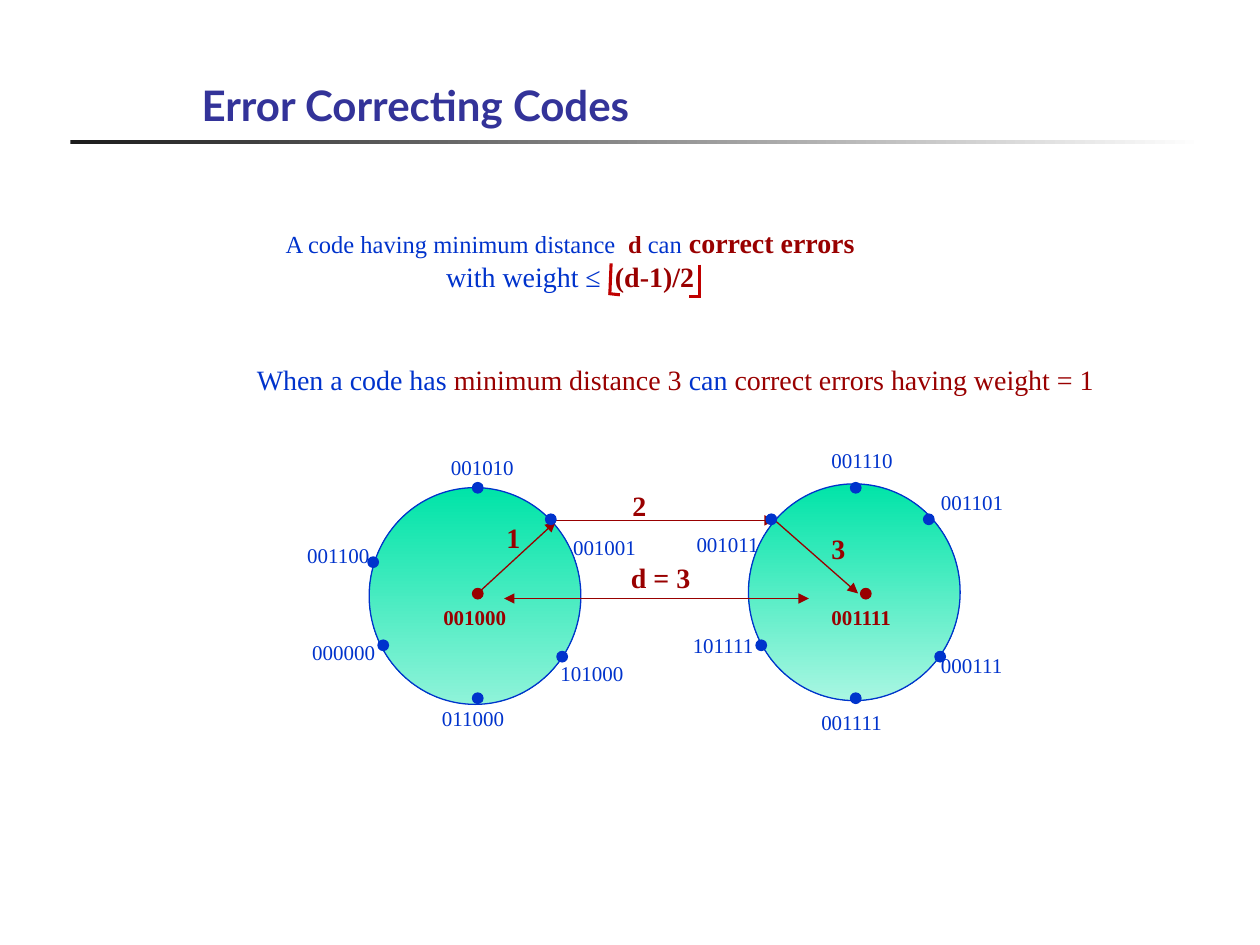
from lxml.etree import SubElement
from pptx import Presentation
from pptx.dml.color import RGBColor
from pptx.enum.shapes import MSO_CONNECTOR, MSO_SHAPE
from pptx.enum.text import MSO_ANCHOR, MSO_AUTO_SIZE, PP_ALIGN
from pptx.oxml.ns import qn
from pptx.util import Inches, Pt

BLUE, RED, BRACKET, NAVY = "0033CC", "990000", "C00000", "333399"
SERIF, SANS = "Times New Roman", "Lato"


def color(code):
    return RGBColor.from_string(code)


class CodeSlide:
    """Draws styled elements on one slide, placed on a grid of 100 columns by 75 rows."""

    def __init__(self, deck):
        deck.slide_width, deck.slide_height = Inches(10), Inches(7.5)
        self.column, self.row = deck.slide_width / 100, deck.slide_height / 75
        self.page = deck.slides.add_slide(deck.slide_layouts[5])

    def place(self, left, top, width, height):
        return (round(left * self.column), round(top * self.row),
                round(width * self.column), round(height * self.row))

    def add_span(self, para, text, size, code, bold=False, font=SERIF):
        span = para.add_run()
        span.text = text
        span.font.name, span.font.size, span.font.bold = font, Pt(size), bold
        span.font.color.rgb = color(code)

    def title(self, text, *area):
        box = self.page.shapes.title
        box.left, box.top, box.width, box.height = self.place(*area)
        box.text_frame.vertical_anchor = MSO_ANCHOR.BOTTOM
        box.text_frame.auto_size = MSO_AUTO_SIZE.NONE
        para = box.text_frame.paragraphs[0]
        para.alignment = PP_ALIGN.LEFT
        self.add_span(para, text, 24, NAVY, True, SANS)

    def text(self, area, lines, align=PP_ALIGN.LEFT):
        frame = self.page.shapes.add_textbox(*self.place(*area)).text_frame
        frame.word_wrap = False
        frame.auto_size = MSO_AUTO_SIZE.SHAPE_TO_FIT_TEXT
        for index, spans in enumerate(lines):
            para = frame.add_paragraph() if index else frame.paragraphs[0]
            para.alignment = align
            for span in spans:
                self.add_span(para, *span)

    def word(self, text, left, top, code=BLUE, bold=False):
        self.text((left, top, 7, 3), [[(text, 12, code, bold)]])

    def distance(self, text, left, top, width=3.1):
        self.text((left, top, width, 3.7), [[(text, 16, RED, True)]])

    def shape(self, kind, area, fill, line=None, angle=0):
        shape = self.page.shapes.add_shape(kind, *self.place(*area))
        shape.shadow.inherit = False
        if isinstance(fill, str):
            shape.fill.solid()
            shape.fill.fore_color.rgb = color(fill)
        else:
            shape.fill.gradient()
            shape.fill.gradient_angle = angle
            for stop, position, code in zip(shape.fill.gradient_stops, (0, 1), fill):
                stop.position, stop.color.rgb = position, color(code)
        if line:
            shape.line.color.rgb, shape.line.width = color(line), Pt(0.75)
        else:
            shape.line.fill.background()

    def sphere(self, left, top, bottom_color):
        self.shape(MSO_SHAPE.OVAL, (left, top, 16.8, 17.2), ("00E4A8", bottom_color), BLUE, 270)

    def dot(self, left, top, code=BLUE):
        self.shape(MSO_SHAPE.OVAL, (left, top, 0.83, 0.83), code, code)

    def line(self, start, end, code=RED, width=0.75, arrows=()):
        line = self.page.shapes.add_connector(
            MSO_CONNECTOR.STRAIGHT, *self.place(*start, *end))
        line.line.color.rgb, line.line.width = color(code), Pt(width)
        properties = line._element.spPr
        for name in arrows:
            SubElement(properties.find(qn("a:ln")), qn(f"a:{name}"), type="triangle")
        SubElement(properties, qn("a:effectLst"))


def main():
    deck = Presentation()
    slide = CodeSlide(deck)
    slide.shape(MSO_SHAPE.RECTANGLE, (5.6, 11.1, 90, 0.35), ("1C1C1C", "FFFFFF"))
    slide.title("Error Correcting Codes", 15, 3.3, 85, 7.5)

    slide.text((21.6, 17.4, 47.3, 6.5), [
        [("A code having minimum distance  ", 14, BLUE), ("d", 14, RED, True),
         (" can", 14, BLUE), (" ", 16, BLUE), ("correct errors", 16, RED, True)],
        [("with weight ≤  ", 16, BLUE), ("(d-1)/2", 16, RED, True)],
    ], PP_ALIGN.CENTER)
    slide.text((19.4, 28.3, 68.4, 3.7), [[
        ("When a code has ", 16, BLUE), ("minimum distance 3", 16, RED),
        (" can ", 16, BLUE), ("correct errors having weight = 1", 16, RED)]])

    slide.sphere(29.3, 38.7, "8FF3D9")
    slide.sphere(59.4, 38.4, "A9F6E2")

    slide.line((37.8, 47.2), (44.1, 41.4), arrows=["tailEnd"])
    slide.line((68.1, 47.1), (61.5, 41.3), arrows=["headEnd"])
    slide.line((44.1, 41.3), (61.5, 41.3), arrows=["tailEnd"])
    slide.line((40, 47.5), (64.2, 47.5), arrows=["headEnd", "tailEnd"])

    slide.word("001000", 34.2, 47.5, RED, True)
    slide.word("001111", 65, 47.5, RED, True)
    for text, left, top in [
        ("001010", 34.8, 35.6), ("001001", 44.5, 41.9), ("001100", 23.4, 42.6),
        ("000000", 23.8, 50.3), ("011000", 34.1, 55.5), ("101000", 43.5, 51.9),
        ("001110", 65, 35), ("001101", 73.7, 38.4), ("001011", 54.3, 41.7),
        ("101111", 54, 49.7), ("001111", 64.2, 55.8), ("000111", 73.7, 51.3),
    ]:
        slide.word(text, left, top)

    for left, top in [(30, 50.8), (37.5, 38.3), (37.5, 55), (44.2, 51.7)]:
        for shift in (0, 30):
            slide.dot(left + shift, top)
    for left, top in [(29.2, 44.2), (43.3, 40.8), (60.8, 40.8), (73.3, 40.8)]:
        slide.dot(left, top)
    for left in (37.5, 68.3):
        slide.dot(left, 46.7, RED)

    slide.distance("1", 39.2, 40.8)
    slide.distance("2", 49.2, 38.3)
    slide.distance("3", 65, 41.7)
    slide.distance("d = 3", 49.1, 44, 6.7)

    for start, end in [
        ((48.5, 20.9), (48.4, 23.4)), ((48.3, 23.3), (49.2, 23.4)),
        ((55.5, 21), (55.5, 23.5)), ((54.7, 23.5), (55.6, 23.5)),
    ]:
        slide.line(start, end, BRACKET, 1.75)

    deck.save("out.pptx")


if __name__ == "__main__":
    main()
